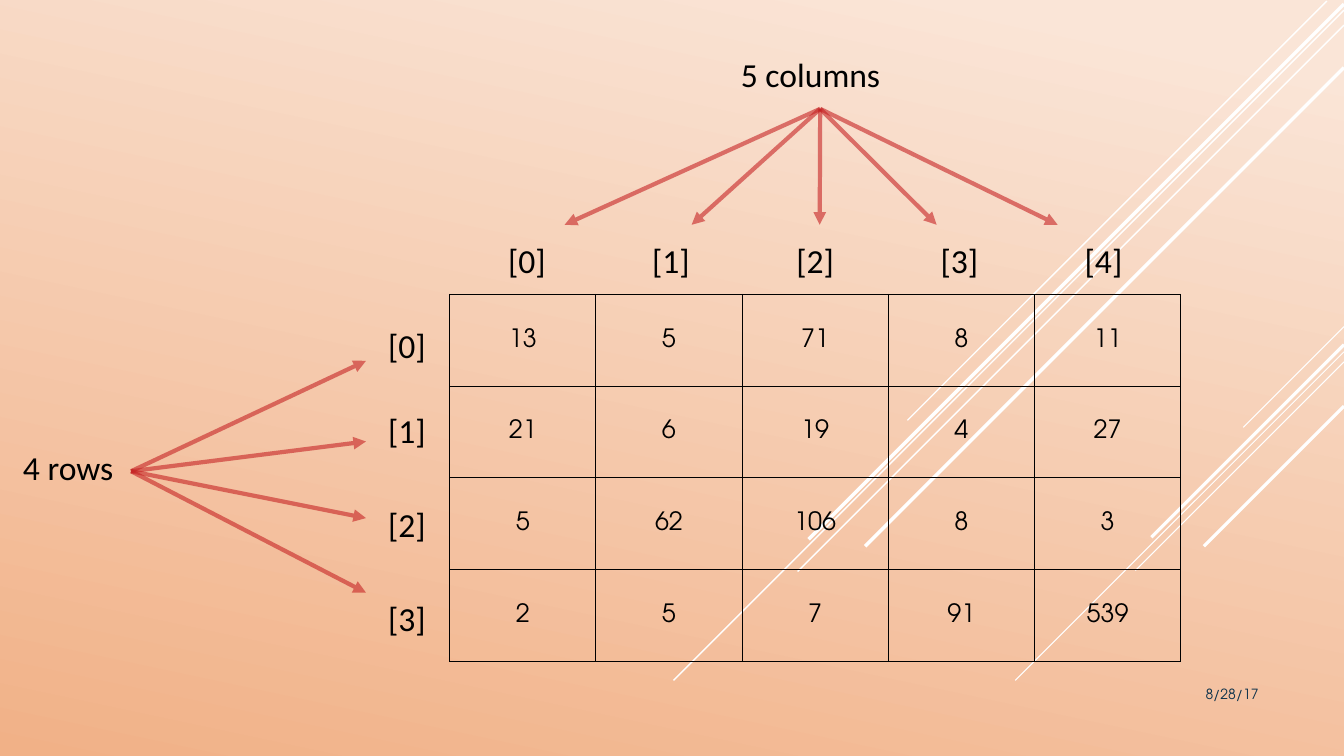
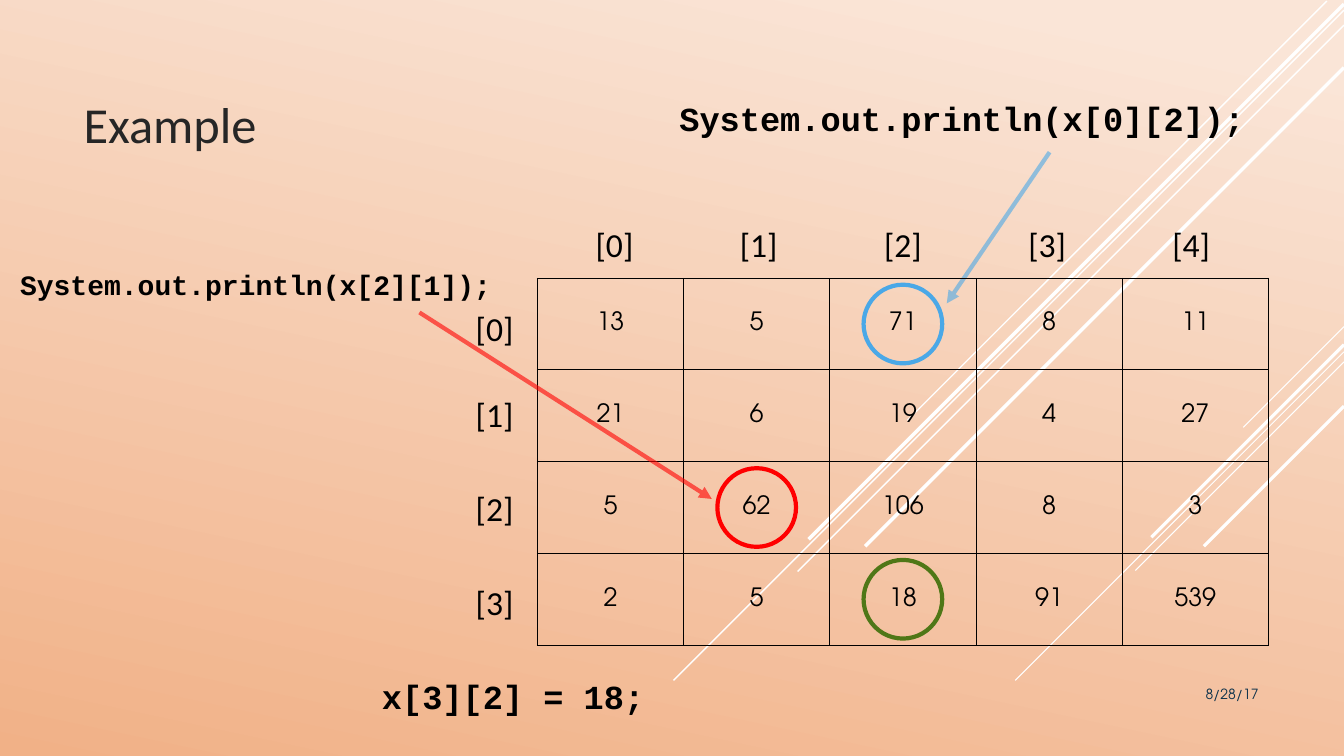
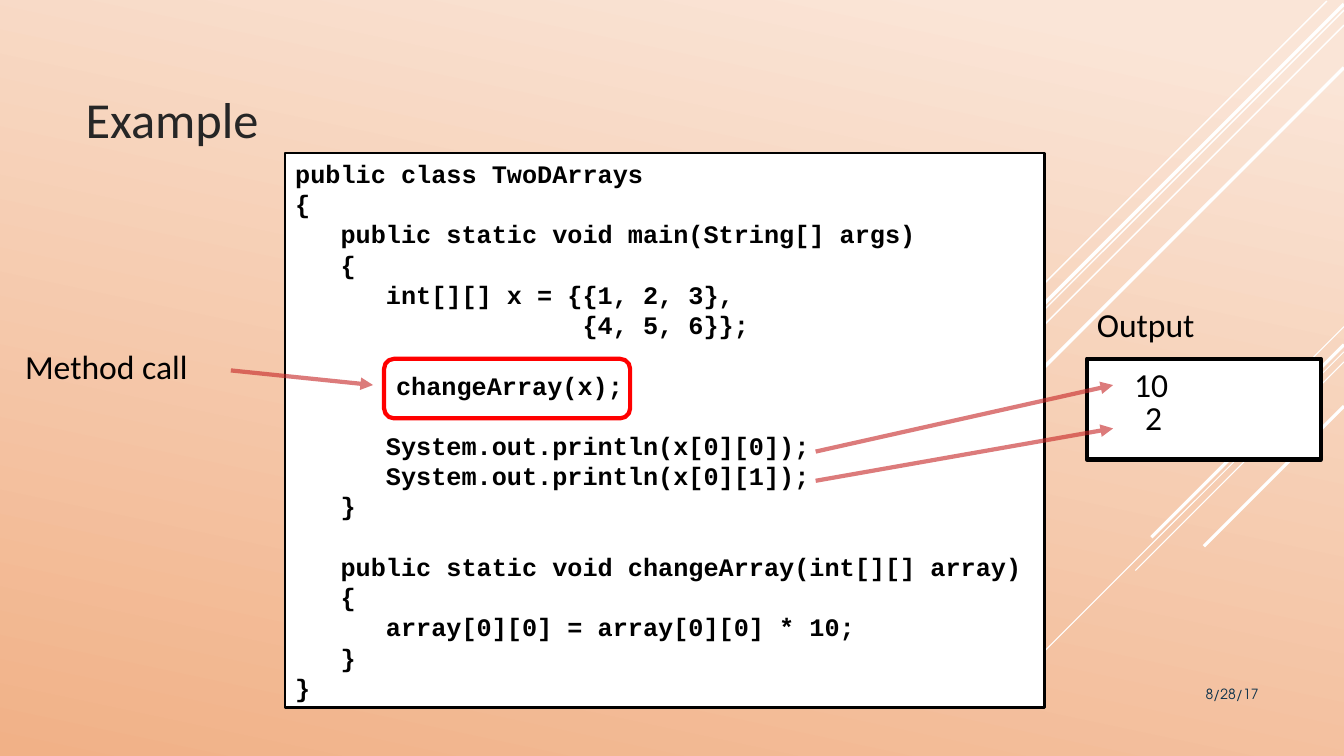
import dataclasses

import pptx
import pptx.dml.color
import pptx.enum.shapes
import pptx.enum.text
import pptx.oxml
import pptx.oxml.ns
import pptx.util
from lxml import etree

Inches = pptx.util.Inches
Pt = pptx.util.Pt
qn = pptx.oxml.ns.qn
Shapes = pptx.enum.shapes.MSO_SHAPE
Anchor = pptx.enum.text.MSO_ANCHOR
Align = pptx.enum.text.PP_ALIGN


@dataclasses.dataclass(frozen=True)
class Theme:
    light: str = "FAE5D7"
    dark: str = "F1B187"
    white: str = "FFFFFF"
    black: str = "000000"
    title: str = "262626"
    date: str = "0A304A"
    crimson: str = "C62324"
    red: str = "FF0000"
    blue: str = "4AA8E7"
    green: str = "4F7717"
    label_font: str = "Calibri"
    code_font: str = "Courier New"
    body_font: str = "TeX Gyre Adventor"
    title_size: int = 36
    label_size: int = 24
    small_code_size: int = 20
    body_size: int = 18
    date_size: int = 10
    rule: float = 3


THEME = Theme()

# Diagonal stripes: start x, start y, horizontal run, width in points
STRIPES = [
    (13.33, 3.24, 1.0, 0.75), (13.33, 3.49, 3.26, 0.75), (13.33, 3.59, 2.07, 0.75),
    (13.33, 3.42, 1.91, 2.25), (13.33, 4.03, 1.39, 2.25),
    (13.16, 0.01, 4.16, 1), (13.33, 0.1, 6.65, 1), (13.33, 0.25, 5.42, 1),
    (13.33, 0.04, 5.31, 2.5), (13.33, 0.67, 4.75, 2.5),
]

CELL_WIDTH, CELL_HEIGHT = 1.45, 0.91
COLUMN_LABEL_PITCH = 1.43
ROW_LABEL_TOPS = (0.25, 1.1, 2.03, 2.96)
CIRCLE = 0.78
GRID = [
    [13, 5, 71, 8, 11],
    [21, 6, 19, 4, 27],
    [5, 62, 106, 8, 3],
    [2, 5, 7, 91, 539],
]

CODE = """public class TwoDArrays
{
   public static void main(String[] args)
   {
      int[][] x = {{1, 2, 3},
                   {4, 5, 6}};

\t\tchangeArray(x);

      System.out.println(x[0][0]);
      System.out.println(x[0][1]);
   }

   public static void changeArray(int[][] array)
   {
      array[0][0] = array[0][0] * 10;
   }
}"""


def rgb(value):
    return pptx.dml.color.RGBColor.from_string(value)


def add_run(paragraph, text, size, font, color=THEME.black, bold=False):
    run = paragraph.add_run()
    run.text = text
    run.font.size = Pt(size)
    run.font.name = font
    run.font.color.rgb = rgb(color)
    run.font.bold = bold


def add_text(slide, box, text, size=THEME.label_size, font=THEME.label_font,
             color=THEME.black, bold=False, align=Align.LEFT, anchor=Anchor.TOP):
    shape = slide.shapes.add_textbox(*map(Inches, box))
    frame = shape.text_frame
    frame.word_wrap = True
    frame.vertical_anchor = anchor
    paragraph = frame.paragraphs[0]
    paragraph.alignment = align
    add_run(paragraph, text, size, font, color, bold)
    return shape


def add_code(slide, box, text, size=THEME.label_size):
    add_text(slide, box, text, size, THEME.code_font, bold=True)


def add_outline(slide, kind, box, color, fill=None, width=THEME.rule):
    """Add a preset shape with a line, and a fill only where one is given."""
    shape = slide.shapes.add_shape(kind, *map(Inches, box))
    shape.shadow.inherit = False
    shape.line.color.rgb = rgb(color)
    shape.line.width = Pt(width)
    if fill:
        shape.fill.solid()
        shape.fill.fore_color.rgb = rgb(fill)
    else:
        shape.fill.background()
    return shape


def add_line(slide, start, end, color, width):
    connector = slide.shapes.add_connector(
        pptx.enum.shapes.MSO_CONNECTOR.STRAIGHT, *map(Inches, (*start, *end)))
    connector.line.color.rgb = rgb(color)
    connector.line.width = Pt(width)
    etree.SubElement(connector._element.spPr, qn("a:effectLst"))
    return connector


def add_arrow(slide, start, end, color=THEME.crimson):
    connector = add_line(slide, start, end, color, THEME.rule)
    line = connector._element.spPr.find(qn("a:ln"))
    etree.SubElement(line.find(".//" + qn("a:srgbClr")), qn("a:alpha"), val="60000")
    etree.SubElement(line, qn("a:tailEnd"), type="triangle")
    return connector


def add_fan(slide, label, side, targets):
    """Draw arrows from the middle of one side of a label to each target."""
    for target in targets:
        add_arrow(slide, (0, 0), target).begin_connect(label, side)


def set_background(master):
    fill = master.background.fill
    fill.gradient()
    fill.gradient_angle = 258
    stops = zip(fill.gradient_stops, (0.07, 1), (THEME.light, THEME.dark))
    for stop, position, color in stops:
        stop.position = position
        stop.color.rgb = rgb(color)


def add_slide(presentation):
    """Add a blank slide with the diagonal stripes and the date."""
    slide = presentation.slides.add_slide(presentation.slide_layouts[6])
    for x, y, run, width in STRIPES:
        add_line(slide, (x, y), (x - run, y + run), THEME.white, width)
    add_text(slide, (10.83, 6.75, 1.75, 0.4), "8/28/17", THEME.date_size,
             THEME.body_font, THEME.date, align=Align.RIGHT)
    return slide


def add_title(slide, left, top):
    add_text(slide, (left, top, 8.75, 1.03), "Example", THEME.title_size,
             color=THEME.title, anchor=Anchor.BOTTOM)


def style_cell(cell, text):
    cell.fill.background()
    cell.vertical_anchor = Anchor.MIDDLE
    paragraph = cell.text_frame.paragraphs[0]
    paragraph.alignment = Align.CENTER
    add_run(paragraph, text, THEME.body_size, THEME.body_font)
    properties = cell._tc.get_or_add_tcPr()
    for index, side in enumerate(("a:lnL", "a:lnR", "a:lnT", "a:lnB")):
        border = etree.Element(qn(side), w=str(Pt(0.75)))
        fill = etree.SubElement(border, qn("a:solidFill"))
        etree.SubElement(fill, qn("a:srgbClr"), val=THEME.black)
        properties.insert(index, border)


def add_array(slide, left, top, values):
    """Draw the table of values with its row and column index labels."""
    rows, columns = len(values), len(values[0])
    table = slide.shapes.add_table(
        rows, columns, Inches(left), Inches(top),
        Inches(columns * CELL_WIDTH), Inches(rows * CELL_HEIGHT)).table
    table.first_row = False
    table.horz_banding = False
    for row, row_values in enumerate(values):
        for column, value in enumerate(row_values):
            style_cell(table.cell(row, column), str(value))
    for row, offset in enumerate(ROW_LABEL_TOPS):
        add_text(slide, (left - 0.71, top + offset, 0.58, 0.51), f"[{row}]")
    for column in range(columns):
        label_left = left + 0.48 + column * COLUMN_LABEL_PITCH
        add_text(slide, (label_left, top - 0.59, 0.58, 0.51), f"[{column}]")


def circle_cell(slide, left, top, row, column, color):
    """Centre a ring on one cell of the array placed at left, top."""
    x = left + column * CELL_WIDTH + (CELL_WIDTH - CIRCLE) / 2
    y = top + row * CELL_HEIGHT + (CELL_HEIGHT - CIRCLE) / 2
    add_outline(slide, Shapes.OVAL, (x, y, CIRCLE, CIRCLE), color)


def add_listing(slide, box):
    shape = add_outline(slide, Shapes.RECTANGLE, box, THEME.black, THEME.white, 1.5)
    frame = shape.text_frame
    frame.word_wrap = True
    frame.vertical_anchor = Anchor.TOP
    paragraph = frame.paragraphs[0]
    paragraph.alignment = Align.LEFT
    paragraph.line_spacing = Pt(21.6)
    tabs = etree.SubElement(paragraph._p.get_or_add_pPr(), qn("a:tabLst"))
    for position in (0.5, 1):
        etree.SubElement(tabs, qn("a:tab"), pos=str(Inches(position)), algn="l")
    for index, line in enumerate(CODE.split("\n")):
        if index:
            paragraph.add_line_break()
        if line:
            add_run(paragraph, line, THEME.body_size, THEME.code_font, bold=True)


def add_output(slide, left, top):
    """Draw the output window with its heading and two printed values."""
    add_outline(slide, Shapes.RECTANGLE, (left, top, 2.32, 1), THEME.black, THEME.white)
    add_text(slide, (left, top - 0.59, 1.38, 0.59), "Output")
    add_text(slide, (left + 0.37, top, 0.72, 0.59), "10")
    add_text(slide, (left + 0.48, top + 0.33, 0.72, 0.59), "2")


def build_dimensions(presentation):
    slide = add_slide(presentation)
    add_array(slide, 4.46, 2.92, GRID)
    rows_label = add_text(slide, (0.13, 4.38, 1.17, 0.59), "4 rows")
    add_fan(slide, rows_label, 3, [(3.63, y) for y in (3.58, 4.38, 5.14, 5.88)])
    columns_label = add_text(slide, (7.25, 0.49, 1.77, 0.59), "5 columns")
    add_fan(slide, columns_label, 2,
            [(x, 2.23) for x in (5.6, 6.86, 8.13, 9.29, 10.49)])


def build_element_access(presentation):
    slide = add_slide(presentation)
    add_title(slide, 0.73, 0.54)
    left, top = 5.33, 2.76
    values = [list(row) for row in GRID]
    values[3][2] = 18
    add_arrow(slide, (10.41, 1.51), (9.39, 3.01), THEME.blue)
    add_array(slide, left, top, values)
    for row, column, color in ((2, 1, THEME.red), (0, 2, THEME.blue), (3, 2, THEME.green)):
        circle_cell(slide, left, top, row, column, color)
    add_code(slide, (6.64, 0.92, 5.94, 0.59), "System.out.println(x[0][2]);")
    add_code(slide, (0.1, 2.6, 4.95, 0.59), "System.out.println(x[2][1]);",
             THEME.small_code_size)
    add_code(slide, (3.69, 6.66, 3.23, 0.59), "x[3][2] = 18;")
    add_arrow(slide, (4.16, 3.1), (7.06, 4.95), THEME.red)


def build_method_call(presentation):
    slide = add_slide(presentation)
    add_listing(slide, (2.83, 1.52, 7.53, 5.5))
    add_title(slide, 0.75, 0.49)
    add_output(slide, 10.78, 3.56)
    add_arrow(slide, (8.09, 4.48), (11.04, 3.82))
    add_arrow(slide, (8.09, 4.77), (11.04, 4.25))
    add_outline(slide, Shapes.ROUNDED_RECTANGLE, (3.81, 3.56, 2.44, 0.59), THEME.red)
    call_label = add_text(slide, (0.15, 3.38, 2.14, 0.59), "Method call")
    add_fan(slide, call_label, 3, [(3.7, 3.82)])


def main():
    presentation = pptx.Presentation()
    presentation.slide_width = Inches(13.33)
    presentation.slide_height = Inches(7.5)
    set_background(presentation.slide_master)
    build_dimensions(presentation)
    build_element_access(presentation)
    build_method_call(presentation)
    presentation.save("out.pptx")


if __name__ == "__main__":
    main()
